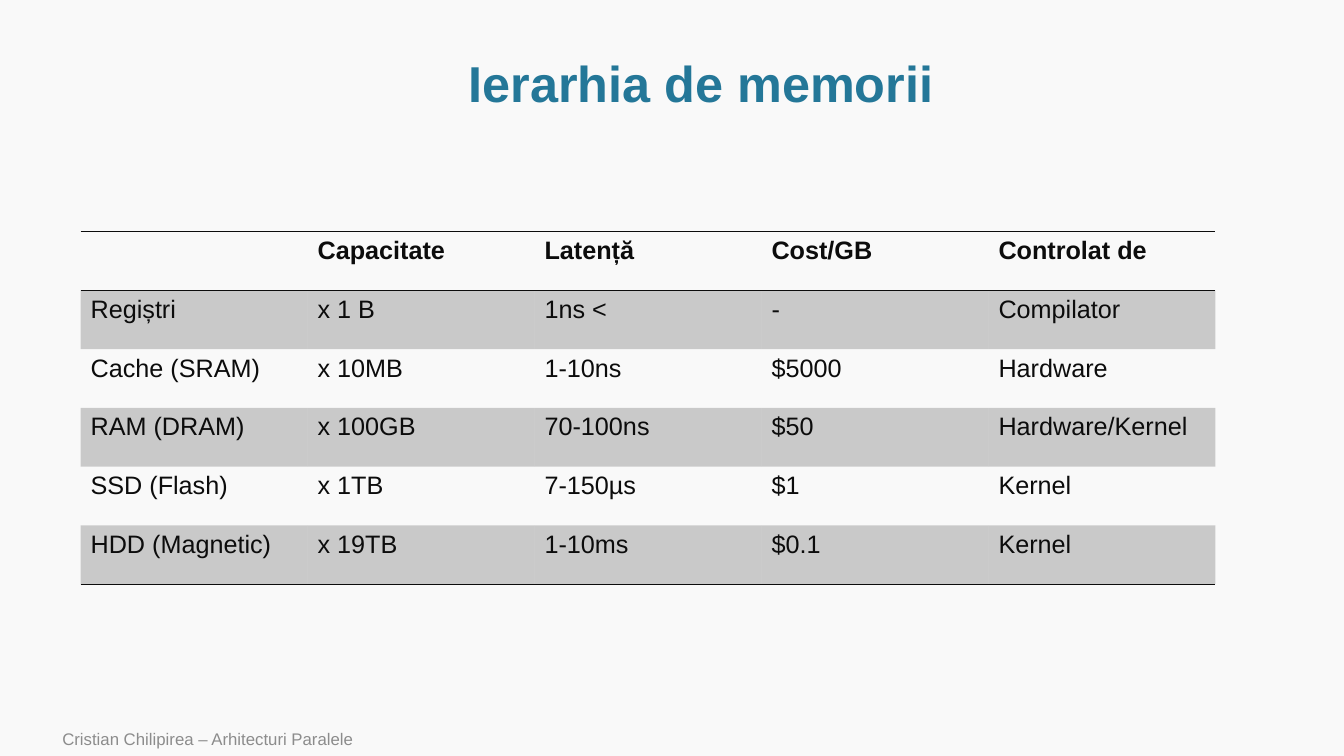
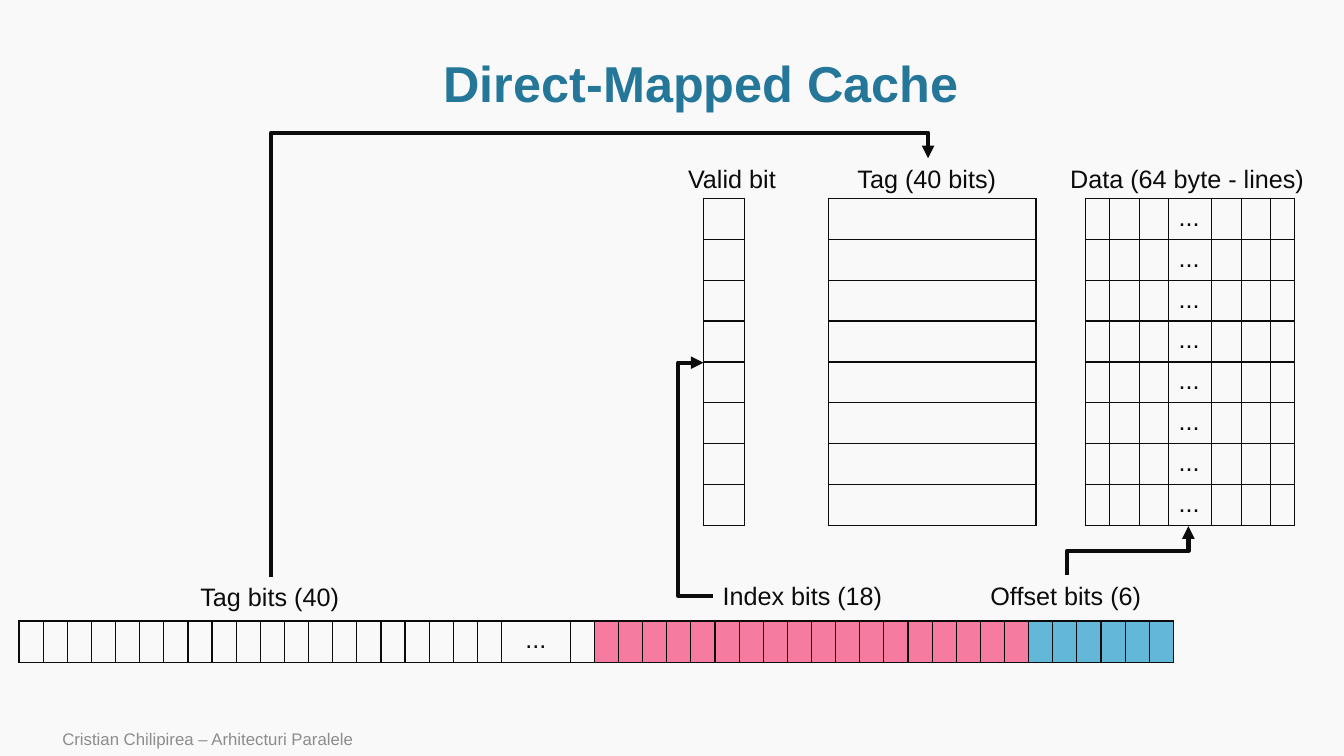
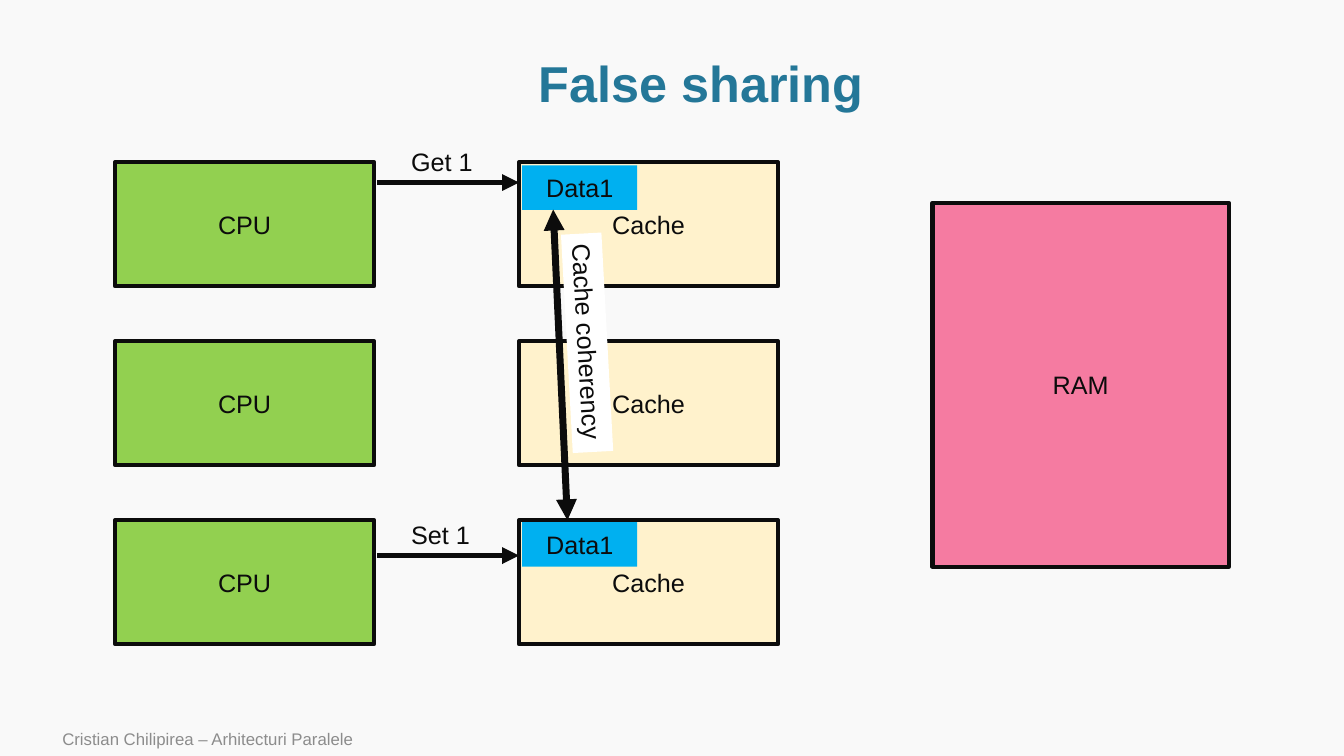
from pptx import Presentation
from pptx.dml.color import RGBColor
from pptx.enum import shapes, text
from pptx.oxml import parse_xml
from pptx.oxml.ns import nsdecls, qn
from pptx.oxml.xmlchemy import OxmlElement
from pptx.util import Cm, Pt

FONT = "Arial"
PAPER = RGBColor(0xF9, 0xF9, 0xF9)
INK = RGBColor(0x0C, 0x0C, 0x0C)
TEAL = RGBColor(0x24, 0x77, 0x98)
GRAY = RGBColor(0x8C, 0x8C, 0x8C)
PINK = RGBColor(0xF5, 0x7B, 0xA1)
SKY = RGBColor(0x63, 0xB8, 0xDA)
GREEN = RGBColor(0x92, 0xD0, 0x50)
CREAM = RGBColor(0xFF, 0xF2, 0xCC)
AZURE = RGBColor(0x00, 0xB0, 0xF0)
WHITE = RGBColor(0xFF, 0xFF, 0xFF)
PLAIN_TABLE = "{2D5ABB26-0587-4C30-8999-92F81FD0307C}"
SIDES = "LRTB"
FOOTER = "Cristian Chilipirea – Arhitecturi Paralele"

# All positions and sizes are in centimetres.
MEMORY_LEVELS = [
    ["", "Capacitate", "Latență", "Cost/GB", "Controlat de"],
    ["Regiștri", "x 1 B", "1ns <", "-", "Compilator"],
    ["Cache (SRAM)", "x 10MB", "1-10ns", "$5000", "Hardware"],
    ["RAM (DRAM)", "x 100GB", "70-100ns", "$50", "Hardware/Kernel"],
    ["SSD (Flash)", "x 1TB", "7-150µs", "$1", "Kernel"],
    ["HDD (Magnetic)", "x 19TB", "1-10ms", "$0.1", "Kernel"],
]

CACHE_LINES = 8
CACHE_TOP, CACHE_ROW = 5, 1.03
BIT = 0.58
CACHE_PARTS = [  # left, column widths, texts of one line
    (27.36, [BIT, 0.74, 0.74, 1.09, 0.74, 0.74, BIT], ["", "", "", "...", "", "", ""]),
    (20.88, [5.23], [""]),
    (17.73, [1.04], [""]),
]
ADDRESS_BITS = [""] * 20 + ["..."] + [""] * 25
ADDRESS_FILLS = [None] * 22 + [PINK] * 18 + [SKY] * 6
CACHE_LABELS = [  # words, left, top, width
    ("Data (64 byte - lines)", 26.72, 3.99, 6.45),
    ("Tag (40 bits)", 21.36, 3.99, 4.04),
    ("Valid bit", 17.09, 3.99, 2.84),
    ("Offset bits (6)", 24.71, 14.5, 4.34),
    ("Index bits (18)", 17.96, 14.5, 4.57),
    ("Tag bits (40)", 4.8, 14.53, 4.04),
]
ELBOWS = [  # begin, end, position of the middle stretch, turn in degrees
    ((26.9, 14.5), (29.95, 13.26), 13.88, 90),
    ((17.96, 15.01), (17.73, 9.14), 17.09, 180),
    ((6.83, 14.53), (23.39, 3.99), 3.35, 90),
]

CORES = 3
CORE_TOP, CORE_STEP, CORE_SIZE = 4.09, 4.51, (6.53, 3.12)
CPU_LEFT, CACHE_LEFT = 2.9, 13.08
ACCESSES = [("Get 1", 4.6, 4.17), ("Set 1", 14, 13.16)]  # words, arrow y, data top


def style(para, size=18, color=INK, bold=False, align=None):
    para.font.name, para.font.size = FONT, Pt(size)
    para.font.color.rgb, para.font.bold = color, bold
    para.alignment = align


def add_text(page, words, left, top, width, height, **look):
    box = page.shapes.add_textbox(Cm(left), Cm(top), Cm(width), Cm(height))
    frame = box.text_frame
    frame.word_wrap = True
    frame.vertical_anchor = text.MSO_ANCHOR.MIDDLE
    frame.text = words
    style(frame.paragraphs[0], **look)
    return box


def add_label(page, words, left, top, width):
    """Add a one-line caption whose box fits its words."""
    box = add_text(page, words, left, top, width, 1.02)
    box.text_frame.word_wrap = False
    box.text_frame.vertical_anchor = text.MSO_ANCHOR.TOP
    box.text_frame.auto_size = text.MSO_AUTO_SIZE.SHAPE_TO_FIT_TEXT
    return box


def add_page(deck, title):
    page = deck.slides.add_slide(deck.slide_layouts[6])
    add_text(page, FOOTER, 1.32, 18.19, 21.34, 0.86, size=12, color=GRAY)
    box = add_text(page, title, 2.9, 1.3, 29.54, 1.75, size=36, color=TEAL,
                   bold=True, align=text.PP_ALIGN.CENTER)
    box.text_frame.paragraphs[0].line_spacing = 0.9
    return page


def add_block(page, words, left, top, width, height, fill, outlined=True):
    block = page.shapes.add_shape(shapes.MSO_SHAPE.RECTANGLE,
                                  Cm(left), Cm(top), Cm(width), Cm(height))
    block.shadow.inherit = False
    block.fill.solid()
    block.fill.fore_color.rgb = fill
    if outlined:
        block.line.color.rgb, block.line.width = INK, Pt(3)
    else:
        block.line.fill.background()
    block.text_frame.text = words
    block.text_frame.vertical_anchor = text.MSO_ANCHOR.MIDDLE
    style(block.text_frame.paragraphs[0], align=text.PP_ALIGN.CENTER)


def add_arrow(page, begin, end, width, kind=shapes.MSO_CONNECTOR.STRAIGHT, ends=("tailEnd",)):
    arrow = page.shapes.add_connector(kind, *(Cm(v) for v in (*begin, *end)))
    arrow.line.color.rgb, arrow.line.width = INK, Pt(width)
    properties = arrow._element.spPr
    for name in ends:
        tip = OxmlElement(f"a:{name}")
        tip.set("type", "triangle")
        properties.find(qn("a:ln")).append(tip)
    properties.append(OxmlElement("a:effectLst"))
    return arrow


def add_elbow(page, begin, end, bend, turn):
    """Add a bent arrow; turn 90 leaves vertically, turn 180 horizontally."""
    center = [(a + b) / 2 for a, b in zip(begin, end)]
    dx, dy = (a - c for a, c in zip(begin, center))
    dx, dy = (dy, -dx) if turn == 90 else (-dx, -dy)
    axis = 1 if turn == 90 else 0
    share = (bend - begin[axis]) / (end[axis] - begin[axis])
    arrow = add_arrow(page, (center[0] + dx, center[1] + dy),
                      (center[0] - dx, center[1] - dy), 3, shapes.MSO_CONNECTOR.ELBOW)
    properties = arrow._element.spPr
    properties.find(qn("a:xfrm")).set("rot", str(turn * 60000))
    guide = OxmlElement("a:gd")
    guide.set("name", "adj1")
    guide.set("fmla", f"val {round(share * 100000)}")
    properties.find(qn("a:prstGeom")).find(qn("a:avLst")).append(guide)


def set_borders(cell, sides):
    properties = cell._tc.get_or_add_tcPr()
    for place, side in enumerate(sides):
        properties.insert(place, parse_xml(
            f'<a:ln{side} {nsdecls("a")} w="12700"><a:solidFill>'
            f'<a:srgbClr val="{INK}"/></a:solidFill></a:ln{side}>'))


def set_fill(cell, color, opacity=100):
    if color is None:
        cell.fill.background()
        return
    cell.fill.solid()
    cell.fill.fore_color.rgb = color
    if opacity < 100:
        alpha = OxmlElement("a:alpha")
        alpha.set("val", str(opacity * 1000))
        cell._tc.tcPr.find(f'.//{qn("a:srgbClr")}').append(alpha)


def add_grid(page, rows, left, top, widths, row_height):
    """Add a table without style and return it for filling and ruling."""
    frame = page.shapes.add_table(len(rows), len(widths), Cm(left), Cm(top),
                                  Cm(sum(widths)), Cm(row_height * len(rows)))
    table = frame.table
    table.first_row = table.horz_banding = False
    table._tbl.tblPr.find(qn("a:tableStyleId")).text = PLAIN_TABLE
    for column, width in zip(table.columns, widths):
        column.width = Cm(width)
    for row, words in zip(table.rows, rows):
        row.height = Cm(row_height)
        for cell, word in zip(row.cells, words):
            if word:
                cell.text = word
            style(cell.text_frame.paragraphs[0])
    return table


def build_hierarchy(deck):
    page = add_page(deck, "Ierarhia de memorii")
    table = add_grid(page, MEMORY_LEVELS, 2.03, 5.84, [5.72] * 5, 1.48)
    borders = {0: "TB", len(MEMORY_LEVELS) - 1: "B"}
    for number, row in enumerate(table.rows):
        for cell in row.cells:
            set_fill(cell, INK if number % 2 else None, opacity=20)
            set_borders(cell, borders.get(number, ""))
            cell.text_frame.paragraphs[0].font.bold = number == 0


def build_direct_mapped(deck):
    page = add_page(deck, "Direct-Mapped Cache")
    for left, widths, line in CACHE_PARTS:
        table = add_grid(page, [line] * CACHE_LINES, left, CACHE_TOP, widths, CACHE_ROW)
        for cell in table.iter_cells():
            set_fill(cell, None)
            set_borders(cell, SIDES)
    widths = [1.73 if word else BIT for word in ADDRESS_BITS]
    address = add_grid(page, [ADDRESS_BITS], 0.48, 15.65, widths, 1.04)
    for cell, fill in zip(address.iter_cells(), ADDRESS_FILLS):
        set_fill(cell, fill)
        set_borders(cell, SIDES)
        cell.text_frame.paragraphs[0].alignment = text.PP_ALIGN.CENTER
    for label in CACHE_LABELS:
        add_label(page, *label)
    for elbow in ELBOWS:
        add_elbow(page, *elbow)


def build_false_sharing(deck):
    page = add_page(deck, "False sharing")
    for core in range(CORES):
        top = CORE_TOP + core * CORE_STEP
        add_block(page, "CPU", CPU_LEFT, top, *CORE_SIZE, GREEN)
        add_block(page, "Cache", CACHE_LEFT, top, *CORE_SIZE, CREAM)
    add_block(page, "RAM", 23.5, 5.11, 7.47, 9.17, PINK)
    for words, y, data_top in ACCESSES:
        add_arrow(page, (9.5, y), (CACHE_LEFT, y), 4)
        add_label(page, words, 10.11, y - 1.04, 2.08)
        add_block(page, "Data1", 13.16, data_top, 2.9, 1.12, AZURE, outlined=False)
    add_arrow(page, (13.94, 5.28), (14.3, 13.11), 5, ends=("headEnd", "tailEnd"))
    label = add_label(page, "Cache coherency", 12.04, 8.13, 5.51)
    label.rotation = 86.9
    label.fill.solid()
    label.fill.fore_color.rgb = WHITE


def main():
    deck = Presentation()
    deck.slide_width, deck.slide_height = Cm(33.87), Cm(19.05)
    backdrop = deck.slide_master.background.fill
    backdrop.solid()
    backdrop.fore_color.rgb = PAPER
    build_hierarchy(deck)
    build_direct_mapped(deck)
    build_false_sharing(deck)
    deck.save("out.pptx")


if __name__ == "__main__":
    main()
